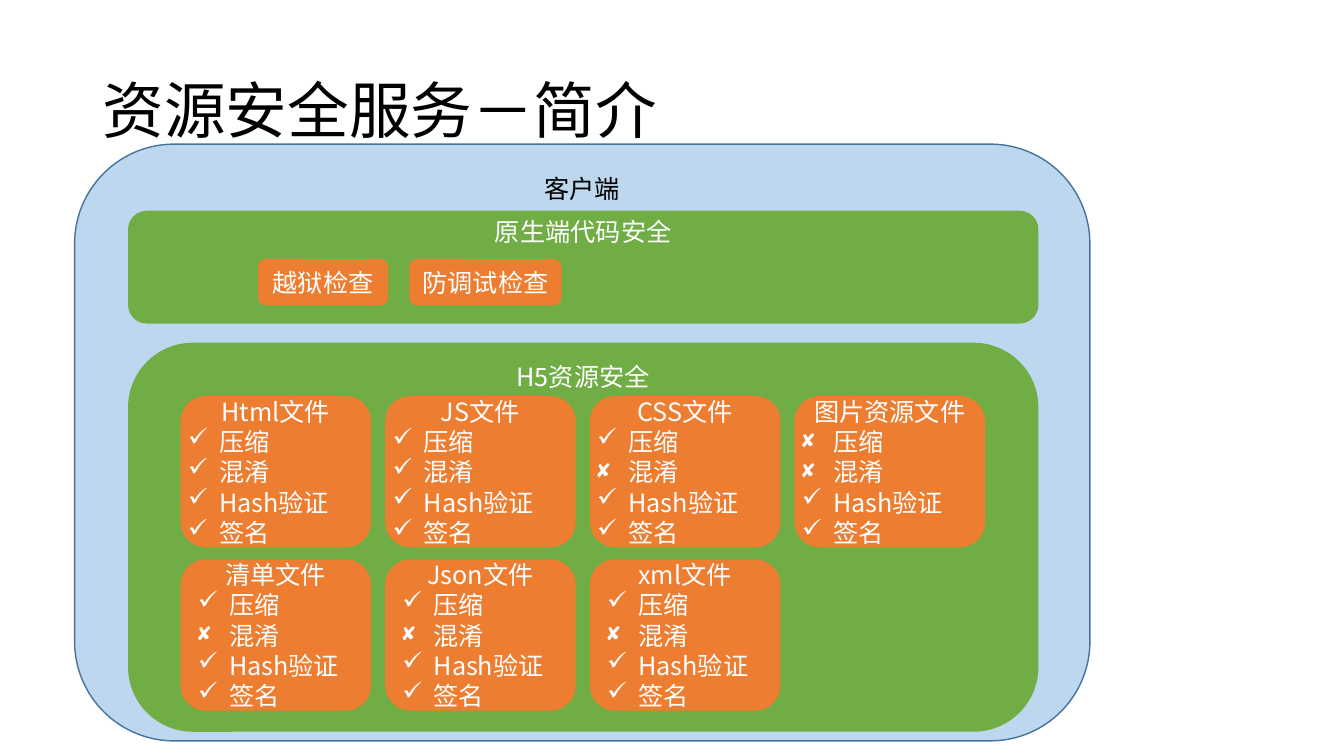
import pptx
import pptx.util
import pptx.dml.color
import pptx.enum.shapes
import pptx.enum.text
import pptx.oxml.ns
import lxml.etree

Inches = pptx.util.Inches
Kind = pptx.enum.shapes.MSO_SHAPE
Align = pptx.enum.text.PP_ALIGN
Anchor = pptx.enum.text.MSO_ANCHOR
qn = pptx.oxml.ns.qn

# Content
FONT = "Noto Sans CJK SC"
TITLE = "资源安全服务－简介"
STEPS = ["压缩", "混淆", "Hash验证", "签名"]
# text, box, fill, alpha, line, text colour
PANELS = [
    ("客户端", (0.74, 1.43, 10.07, 5.92), "5B9BD5", 40, "43739E", "000000"),
    ("H5资源安全", (1.27, 3.4, 9.03, 3.86), "70AD45", 100, None, "FFFFFF"),
    ("原生端代码安全", (1.27, 2.09, 9.03, 1.12), "70AD45", 100, None, "FFFFFF"),
]
CHECKS = [("越狱检查", 2.56, 1.29), ("防调试检查", 4.06, 1.51)]
# each row: top, side inset, cards with one mark per step
ROWS = [
    (3.93, 0, [("Html文件", "✓✓✓✓"), ("JS文件", "✓✓✓✓"),
               ("CSS文件", "✓✘✓✓"), ("图片资源文件", "✘✘✓✓")]),
    (5.55, 0.1, [("清单文件", "✓✘✓✓"), ("Json文件", "✓✘✓✓"),
                 ("xml文件", "✓✘✓✓")]),
]
LEFT, PITCH, WIDE, HIGH = 1.79, 2.03, 1.89, 1.5
ORANGE, WHITE = "ED7D31", "FFFFFF"


def color(code):
    return pptx.dml.color.RGBColor.from_string(code)


def write(para, text, size, code, align):
    para.text = text
    para.alignment = align
    font = para.font
    font.size = pptx.util.Pt(size)
    font.color.rgb = color(code)
    font.name = FONT
    latin = para._p.pPr.find(qn("a:defRPr")).find(qn("a:latin"))
    east = lxml.etree.Element(qn("a:ea"), typeface=FONT)
    latin.addnext(east)


def bullet(para, mark):
    props = para._p.get_or_add_pPr()
    props.set("marL", str(Inches(0.31)))
    props.set("indent", str(-Inches(0.31)))
    props.insert(0, lxml.etree.Element(qn("a:buChar"), char=mark))


def block(kind, box, fill, text, ink=WHITE, inset=0.0, anchor=Anchor.MIDDLE):
    shape = slide.shapes.add_shape(kind, *map(Inches, box))
    shape.shadow.inherit = False
    shape.fill.solid()
    shape.fill.fore_color.rgb = color(fill)
    shape.line.fill.background()
    frame = shape.text_frame
    frame.word_wrap = True
    frame.vertical_anchor = anchor
    frame.margin_left = frame.margin_right = Inches(inset)
    frame.margin_top = frame.margin_bottom = Inches(inset / 2)
    write(frame.paragraphs[0], text, 18, ink, Align.CENTER)
    return shape


deck = pptx.Presentation()
deck.slide_width, deck.slide_height = Inches(13.33), Inches(7.5)
slide = deck.slides.add_slide(deck.slide_layouts[6])

# Title
head = slide.shapes.add_textbox(*map(Inches, (0.92, 0.4, 11.5, 1.45))).text_frame
head.word_wrap = True
head.vertical_anchor = Anchor.MIDDLE
write(head.paragraphs[0], TITLE, 44, "000000", Align.LEFT)
head.paragraphs[0].line_spacing = 0.9

# Panels
for text, box, fill, alpha, line, ink in PANELS:
    panel = block(Kind.ROUNDED_RECTANGLE, box, fill, text, ink, anchor=Anchor.TOP)
    if alpha < 100:
        tint = panel._element.spPr.find(qn("a:solidFill"))[0]
        lxml.etree.SubElement(tint, qn("a:alpha"), val=str(alpha * 1000))
    if line:
        panel.line.color.rgb = color(line)
        panel.line.width = pptx.util.Pt(1)

# Native checks
for text, left, width in CHECKS:
    block(Kind.FLOWCHART_ALTERNATE_PROCESS, (left, 2.57, width, 0.46),
          ORANGE, text, inset=0.1)

# File cards
for top, inset, cards in ROWS:
    for col, (name, marks) in enumerate(cards):
        box = (LEFT + col * PITCH, top, WIDE, HIGH)
        card = block(Kind.FLOWCHART_ALTERNATE_PROCESS, box, ORANGE, name, inset=inset)
        for mark, step in zip(marks, STEPS):
            para = card.text_frame.add_paragraph()
            write(para, step, 18, WHITE, Align.LEFT)
            bullet(para, mark)

deck.save("out.pptx")
